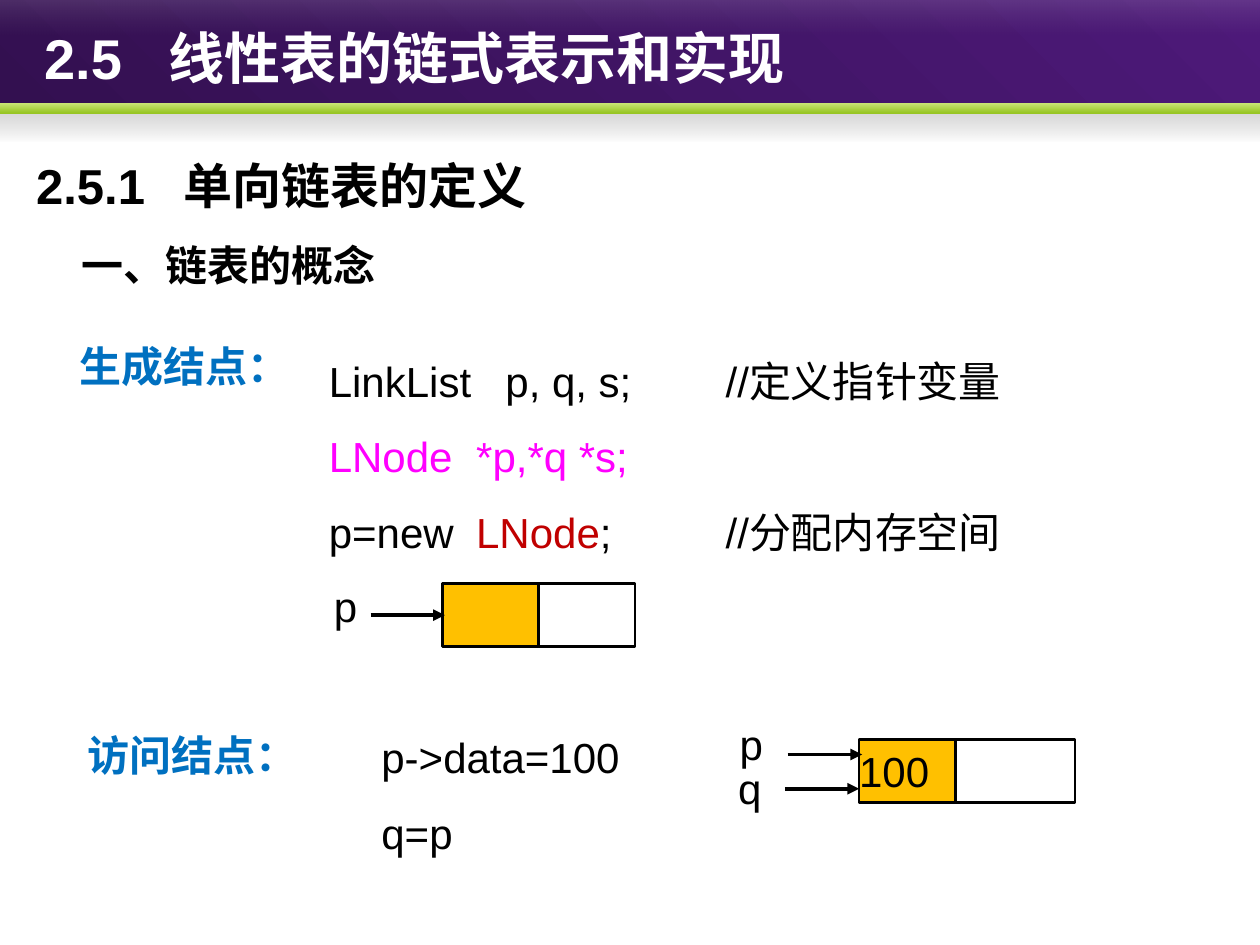
import pptx
import pptx.dml.color
import pptx.enum.shapes
import pptx.enum.text
import pptx.oxml.ns
import pptx.util
from lxml import etree
from pptx.util import Cm

COLORS = {
    "black": "000000", "white": "FFFFFF", "heading": "0070C0",
    "magenta": "FF00FF", "red": "C00000", "data": "FFC000",
    "purple_dark": "331050", "purple": "4D1979",
    "green_light": "C9E576", "green": "97C523",
    "shade": "808080", "shade_end": "5C5C5C", "gloss_end": "B6B6B6",
}
SLIDE_WIDTH = 25.4
NODE_HEIGHT = 1.27
ARROW_LENGTH = 1.5


def rgb(color):
    return pptx.dml.color.RGBColor.from_string(COLORS[color])


def add_xml(parent, tag, **attributes):
    return etree.SubElement(parent, pptx.oxml.ns.qn(tag), attributes)


class SlideBuilder:
    font = "Arial"
    body_size = 24

    def __init__(self, slide):
        self.slide = slide

    def rectangle(self, left, top, width, height):
        box = self.slide.shapes.add_shape(
            pptx.enum.shapes.MSO_SHAPE.RECTANGLE,
            Cm(left), Cm(top), Cm(width), Cm(height))
        box.shadow.inherit = False
        return box

    def band(self, top, height, start, end, angle=270):
        """Full-width gradient; start and end are (color, opacity percent)."""
        band = self.rectangle(0, top, SLIDE_WIDTH, height)
        band.line.fill.background()
        band.fill.gradient()
        band.fill.gradient_angle = angle
        for stop, position, (color, _) in zip(
                band.fill.gradient_stops, (0, 1), (start, end)):
            stop.position = position
            stop.color.rgb = rgb(color)
        fills = band._element.spPr.iter(pptx.oxml.ns.qn("a:srgbClr"))
        for fill, (_, opacity) in zip(list(fills), (start, end)):
            if opacity < 100:
                add_xml(fill, "a:alpha", val=str(opacity * 1000))

    def style(self, paragraph, size, color, bold=False):
        paragraph.font.name = self.font
        paragraph.font.size = pptx.util.Pt(size)
        paragraph.font.bold = bold
        paragraph.font.color.rgb = rgb(color)

    def text(self, left, top, width, height, lines, size=body_size,
             color="black", bold=False, spacing=1.0, middle=False):
        """Each line is (tab stops in cm, run, ...); a run is text or (text, color)."""
        frame = self.slide.shapes.add_textbox(
            Cm(left), Cm(top), Cm(width), Cm(height)).text_frame
        frame.word_wrap = True
        if middle:
            frame.vertical_anchor = pptx.enum.text.MSO_ANCHOR.MIDDLE
        for index, (tabs, *runs) in enumerate(lines):
            paragraph = frame.add_paragraph() if index else frame.paragraphs[0]
            paragraph.line_spacing = spacing
            if tabs:
                stops = add_xml(paragraph._p.get_or_add_pPr(), "a:tabLst")
                for stop in tabs:
                    add_xml(stops, "a:tab", pos=str(Cm(stop)), algn="l")
            self.style(paragraph, size, color, bold)
            for part in runs:
                words, tint = (part, None) if isinstance(part, str) else part
                run = paragraph.add_run()
                run.text = words
                if tint:
                    run.font.color.rgb = rgb(tint)

    def heading(self, left, top, words):
        self.text(left, top, 4.8, 1.27, [((), words)], color="heading", bold=True)

    def node(self, left, top, data_width, next_width, value=""):
        data = self.rectangle(left, top, data_width, NODE_HEIGHT)
        data.fill.solid()
        data.fill.fore_color.rgb = rgb("data")
        link = self.rectangle(left + data_width, top, next_width, NODE_HEIGHT)
        link.fill.background()
        for cell in (data, link):
            cell.line.color.rgb = rgb("black")
            cell.line.width = pptx.util.Pt(1.5)
        if value:
            frame = data.text_frame
            frame.margin_left = frame.margin_right = 0
            frame.text = value
            self.style(frame.paragraphs[0], self.body_size, "black")

    def pointer(self, name, label_left, label_top, arrow_left, arrow_top):
        self.text(label_left, label_top, 1.2, 1.27, [((), name)])
        arrow = self.slide.shapes.add_connector(
            pptx.enum.shapes.MSO_CONNECTOR.STRAIGHT,
            Cm(arrow_left), Cm(arrow_top),
            Cm(arrow_left + ARROW_LENGTH), Cm(arrow_top))
        arrow.line.color.rgb = rgb("black")
        arrow.line.width = pptx.util.Pt(2.25)
        add_xml(arrow.line._get_or_add_ln(), "a:tailEnd", type="triangle")
        add_xml(arrow._element.spPr, "a:effectLst")


def main():
    deck = pptx.Presentation()
    deck.slide_width, deck.slide_height = Cm(SLIDE_WIDTH), Cm(19.05)
    page = SlideBuilder(deck.slides.add_slide(deck.slide_layouts[6]))

    page.band(0, 2.29, ("purple_dark", 100), ("purple", 100), angle=45)
    page.band(2.24, 0.61, ("shade", 33), ("shade_end", 0))
    page.band(2.08, 0.2, ("green_light", 100), ("green", 100))
    page.band(0, 0.71, ("white", 13), ("gloss_end", 0))

    page.text(0.64, 0, 24.5, 2.29, [((2.5,), "2.5\t线性表的链式表示和实现")],
              size=32, color="white", bold=True, middle=True)
    page.text(0.48, 2.41, 17.53, 2.06, [((2.98,), "2.5.1\t单向链表的定义")],
              size=28, bold=True, spacing=1.5)
    page.text(1.4, 4.37, 22.5, 1.55, [((), "一、链表的概念")],
              bold=True, spacing=pptx.util.Pt(38))

    page.heading(1.35, 6.73, "生成结点：")
    page.text(6.38, 6.53, 17.24, 5, [
        ((3.56, 8), "LinkList\tp, q, s;\t//定义指针变量"),
        ((2.97,), ("LNode\t*p,*q *s;", "magenta")),
        ((2.97, 8), "p=new\t", ("LNode", "red"), ";\t//分配内存空间"),
    ], spacing=1.5)
    page.node(8.92, 11.76, 1.94, 1.94)
    page.pointer("p", 6.48, 11.58, 7.47, 12.4)

    page.heading(1.52, 14.58, "访问结点：")
    page.text(7.44, 14.12, 6.8, 3.48, [((), "p->data=100"), ((), "q=p")],
              spacing=1.5)
    page.node(17.32, 14.91, 1.94, 2.41, "100")
    page.pointer("p", 14.66, 14.35, 15.88, 15.21)
    page.pointer("q", 14.63, 15.24, 15.82, 15.9)

    deck.save("out.pptx")


if __name__ == "__main__":
    main()
